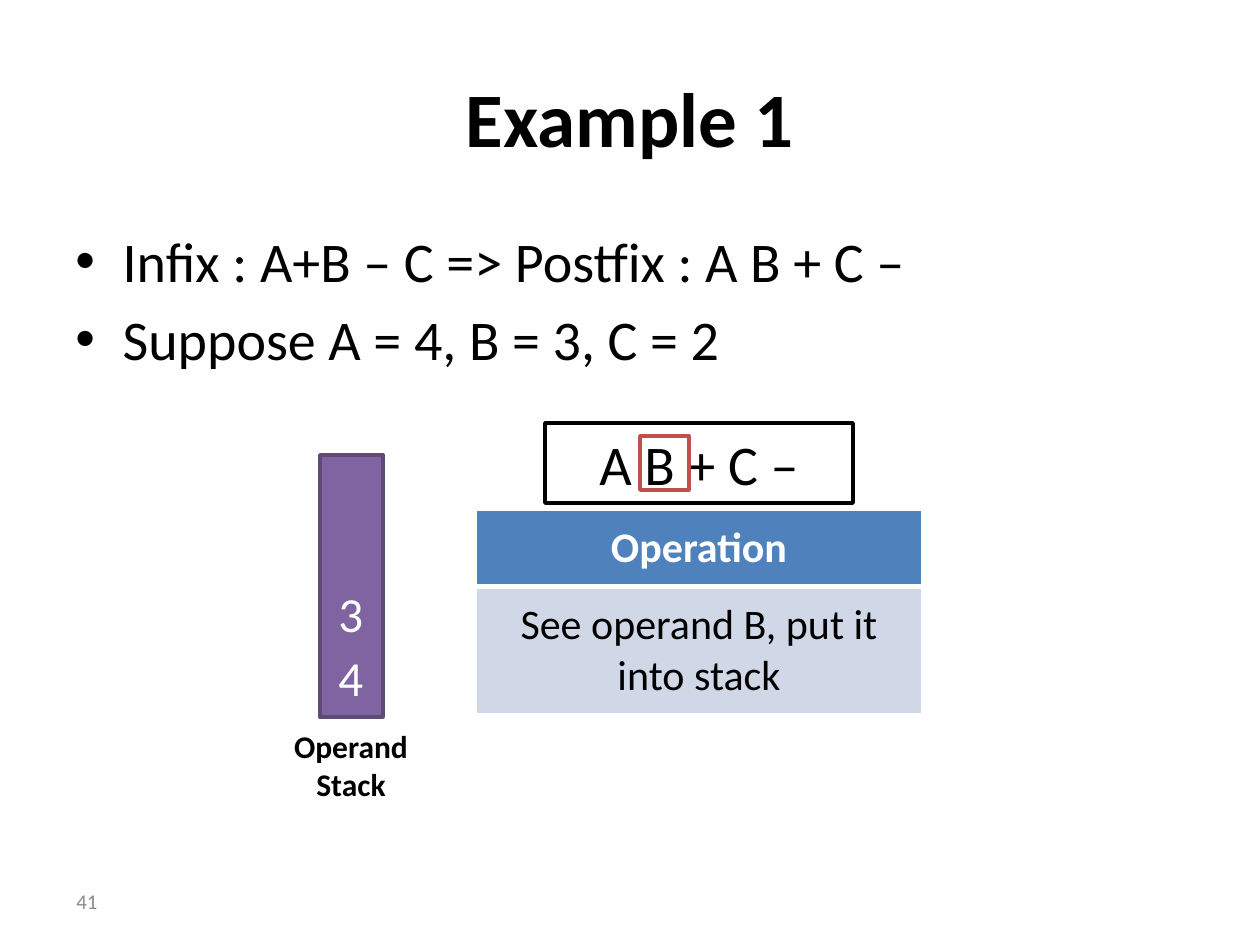
from dataclasses import dataclass
from typing import Any

from lxml.etree import SubElement
from pptx import Presentation
from pptx.dml.color import RGBColor
from pptx.enum.shapes import MSO_SHAPE as Shape
from pptx.enum.text import MSO_ANCHOR as Anchor, PP_ALIGN as Align
from pptx.oxml.ns import qn
from pptx.util import Emu, Pt

EMU_PER_PIXEL = 914400 / 126
BLACK, WHITE = "000000", "FFFFFF"


def px(length):
    """Turn pixels into EMU."""
    return Emu(round(length * EMU_PER_PIXEL))


def color(value):
    """Turn a hex string into a colour."""
    return RGBColor.from_string(value)


def write(frame, lines, size, font, ink=BLACK, bold=False, align=Align.LEFT,
          anchor=Anchor.TOP, wrap=True, bullet=None, before=0):
    """Fill a text frame with one paragraph per line."""
    frame.word_wrap = wrap
    frame.vertical_anchor = anchor
    for index, line in enumerate(lines):
        para = frame.add_paragraph() if index else frame.paragraphs[0]
        para.alignment = align
        para.space_before = Pt(before)
        if bullet:
            props = para._p.get_or_add_pPr()
            props.set("marL", "342900")
            props.set("indent", "-342900")
            SubElement(props, qn("a:buFont"), typeface="Arial")
            SubElement(props, qn("a:buChar"), char=bullet)
        span = para.add_run()
        span.text = line
        span.font.name = font
        span.font.size = Pt(size)
        span.font.bold = bold
        span.font.color.rgb = color(ink)


def cell_borders(cell, widths):
    """Draw white borders on a cell, with a width in points per side."""
    props = cell._tc.get_or_add_tcPr()
    for index, (side, width) in enumerate(widths.items()):
        line = props.makeelement(qn(f"a:ln{side}"), {"w": str(Pt(width))})
        fill = SubElement(line, qn("a:solidFill"))
        SubElement(fill, qn("a:srgbClr"), val=WHITE)
        props.insert(index, line)


@dataclass
class SlideBuilder:
    """Holds the style and the current slide."""
    page: Any
    font: str = "Calibri"

    def text(self, area, lines, size, **style):
        """Add a text box."""
        box = self.page.shapes.add_textbox(*map(px, area))
        write(box.text_frame, lines, size, self.font, **style)

    def rectangle(self, area, line, fill=None):
        """Add a rectangle with an outline and an optional fill."""
        box = self.page.shapes.add_shape(Shape.RECTANGLE, *map(px, area))
        box.shadow.inherit = False
        box.line.color.rgb = color(line)
        box.line.width = Pt(2)
        if fill:
            box.fill.solid()
            box.fill.fore_color.rgb = color(fill)
        else:
            box.fill.background()
        return box

    def table(self, area, rows):
        """Add a one-column table; a row is height, text, fill, ink, bold."""
        table = self.page.shapes.add_table(len(rows), 1, *map(px, area)).table
        for index, (height, words, fill, ink, bold) in enumerate(rows):
            table.rows[index].height = px(height)
            cell = table.cell(index, 0)
            cell.margin_left = cell.margin_right = px(25)
            cell.margin_top = cell.margin_bottom = px(13)
            cell.fill.solid()
            cell.fill.fore_color.rgb = color(fill)
            write(cell.text_frame, [words], 24, self.font, ink=ink, bold=bold,
                  align=Align.CENTER)
            top, bottom = (1, 3) if index == 0 else (3, 1)
            cell_borders(cell, {"L": 1, "R": 1, "T": top, "B": bottom})


deck = Presentation()
deck.slide_width, deck.slide_height = px(1260), px(945)
slide = SlideBuilder(deck.slides.add_slide(deck.slide_layouts[6]))

slide.text((63, 38, 1134, 157), ["Example 1"], 44, bold=True,
           align=Align.CENTER, anchor=Anchor.MIDDLE)
slide.text((63, 220, 1134, 624),
           ["Infix : A+B – C => Postfix : A B + C –",
            "Suppose A = 4, B = 3, C = 2"], 32, bullet="•", before=6.4)

slide.rectangle((320, 455, 63, 262), "5F4A78", "8064A2")
slide.text((273, 721, 156, 89), ["Operand", "Stack"], 18, bold=True,
           align=Align.CENTER)

slide.table((476, 510, 446, 202), [
    (76, "Operation", "4F81BD", WHITE, True),
    (126, "See operand B, put it into stack", "D0D8E8", BLACK, False),
])

expression = slide.rectangle((545, 423, 308, 80), BLACK, WHITE)
write(expression.text_frame, ["A B + C –"], 32, slide.font, align=Align.CENTER)
slide.rectangle((640, 436, 49, 54), "C0504D")

for level, operand in enumerate(["4", "3"]):
    slide.text((326, 641 - 64 * level, 50, 72), [operand], 28, ink=WHITE,
               wrap=False)

slide.text((0, 876, 110, 50), ["41"], 12, ink="8C8C8C", align=Align.RIGHT,
           anchor=Anchor.MIDDLE)

deck.save("out.pptx")
